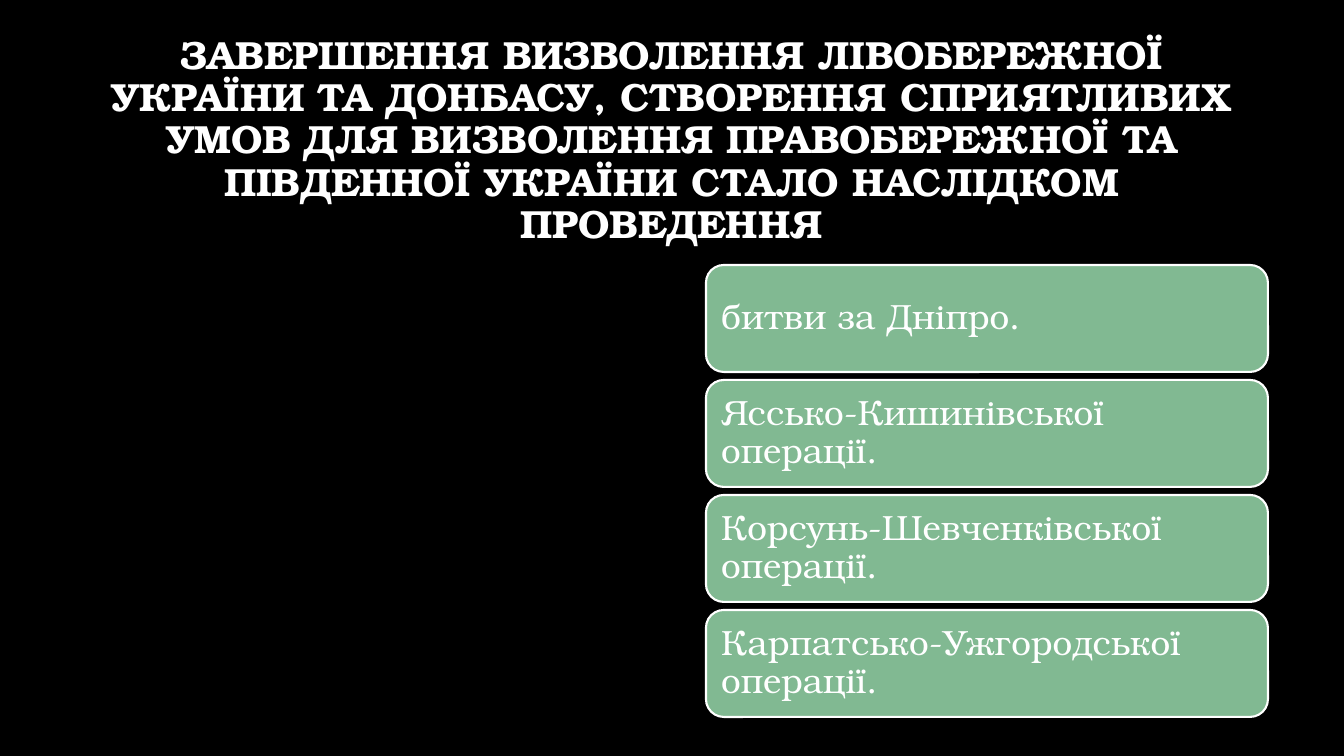
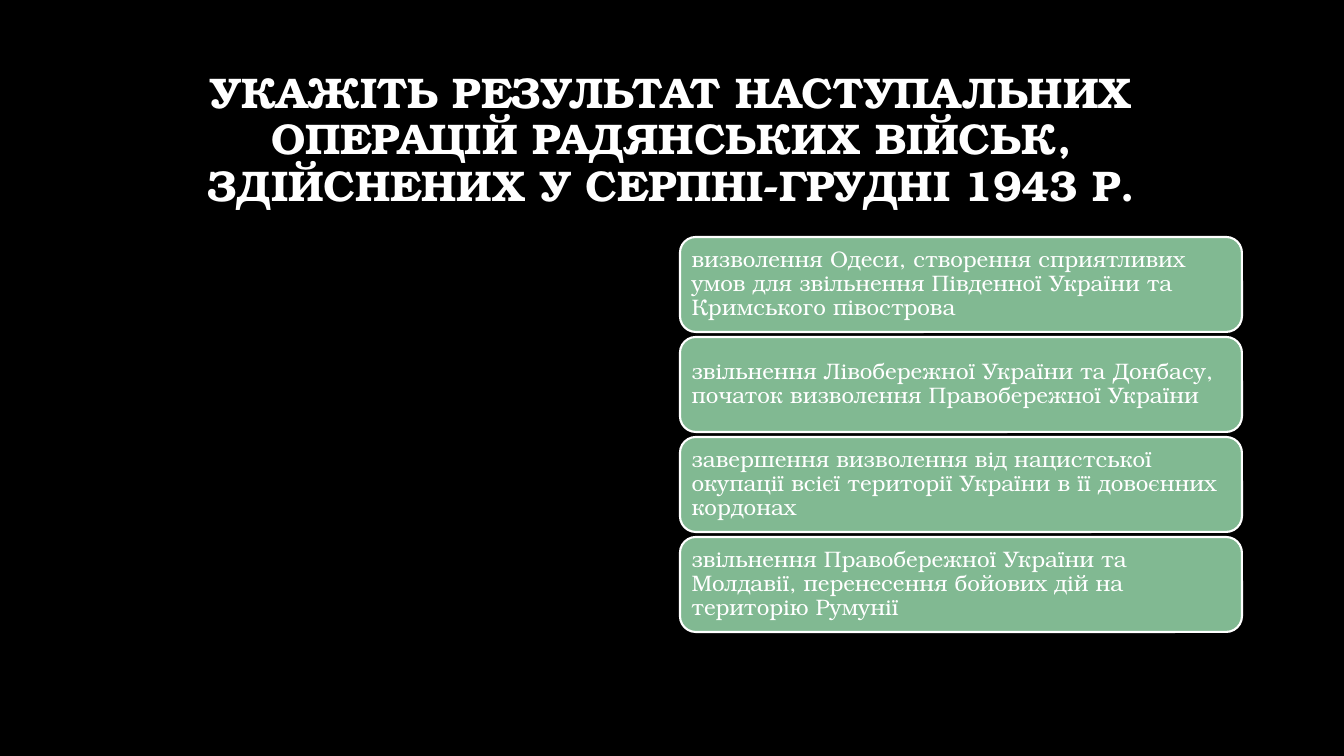
from pptx import Presentation
from pptx.dml.color import RGBColor
from pptx.enum.shapes import MSO_SHAPE
from pptx.enum.text import MSO_ANCHOR, PP_ALIGN
from pptx.util import Emu, Pt

FONT = "TeX Gyre Bonum"
BLACK, WHITE, GREEN = "000000", "FFFFFF", "81B992"
SLIDE_SIZE = (1344, 756)
TITLE_BOX = (101, 68, 1141, 146)
CARD_WIDTH = 562

QUESTIONS = [
    {
        "title": "ЗАВЕРШЕННЯ ВИЗВОЛЕННЯ ЛІВОБЕРЕЖНОЇ УКРАЇНИ ТА ДОНБАСУ, "
                 "СТВОРЕННЯ СПРИЯТЛИВИХ УМОВ ДЛЯ ВИЗВОЛЕННЯ ПРАВОБЕРЕЖНОЇ "
                 "ТА ПІВДЕННОЇ УКРАЇНИ СТАЛО НАСЛІДКОМ ПРОВЕДЕННЯ",
        "title_size": 28,
        "answers": [
            "битви за Дніпро.",
            "Яссько-Кишинівської операції.",
            "Корсунь-Шевченківської операції.",
            "Карпатсько-Ужгородської операції.",
        ],
        "answer_size": 25,
        "left": 706, "top": 265, "height": 107, "gap": 8, "inset": 10,
    },
    {
        "title": "УКАЖІТЬ РЕЗУЛЬТАТ НАСТУПАЛЬНИХ ОПЕРАЦІЙ РАДЯНСЬКИХ ВІЙСЬК, "
                 "ЗДІЙСНЕНИХ У СЕРПНІ-ГРУДНІ 1943 Р.",
        "title_size": 30.6,
        "answers": [
            "визволення Одеси, створення сприятливих умов для звільнення "
            "Південної України та Кримського півострова",
            "звільнення Лівобережної України та Донбасу, "
            "початок визволення Правобережної України",
            "завершення визволення від нацистської окупації всієї "
            "території України в її довоєнних кордонах",
            "звільнення Правобережної України та Молдавії, "
            "перенесення бойових дій на територію Румунії",
        ],
        "answer_size": 16,
        "left": 680, "top": 237, "height": 95, "gap": 5, "inset": 7,
    },
]


def px(length):
    return Emu(round(length * 914400 / 100.8))


def color(value):
    return RGBColor.from_string(value)


def write_text(shape, text, size, inset=10, bold=False, align=PP_ALIGN.LEFT):
    frame = shape.text_frame
    frame.word_wrap = True
    frame.vertical_anchor = MSO_ANCHOR.MIDDLE
    frame.margin_left = frame.margin_right = px(inset)
    frame.margin_top = frame.margin_bottom = px(inset)
    paragraph = frame.paragraphs[0]
    paragraph.alignment = align
    paragraph.line_spacing = 0.9
    run = paragraph.add_run()
    run.text = text
    run.font.name = FONT
    run.font.size = Pt(size)
    run.font.bold = bold
    run.font.color.rgb = color(WHITE)


def add_title(slide, text, size):
    title = slide.shapes.add_textbox(*map(px, TITLE_BOX))
    write_text(title, text, size, bold=True, align=PP_ALIGN.CENTER)


def add_card(slide, text, box, size, inset):
    card = slide.shapes.add_shape(MSO_SHAPE.ROUNDED_RECTANGLE, *map(px, box))
    card.shadow.inherit = False
    card.fill.solid()
    card.fill.fore_color.rgb = color(GREEN)
    card.line.color.rgb = color(WHITE)
    card.line.width = Pt(1.5)
    write_text(card, text, size, inset=inset)


def add_question(presentation, question):
    slide = presentation.slides.add_slide(presentation.slide_layouts[6])
    add_title(slide, question["title"], question["title_size"])
    height = question["height"]
    for index, answer in enumerate(question["answers"]):
        top = question["top"] + index * (height + question["gap"])
        box = (question["left"], top, CARD_WIDTH, height)
        add_card(slide, answer, box, question["answer_size"], question["inset"])


def main():
    presentation = Presentation()
    presentation.slide_width, presentation.slide_height = map(px, SLIDE_SIZE)
    background = presentation.slide_master.background.fill
    background.solid()
    background.fore_color.rgb = color(BLACK)
    for question in QUESTIONS:
        add_question(presentation, question)
    presentation.save("out.pptx")


if __name__ == "__main__":
    main()
